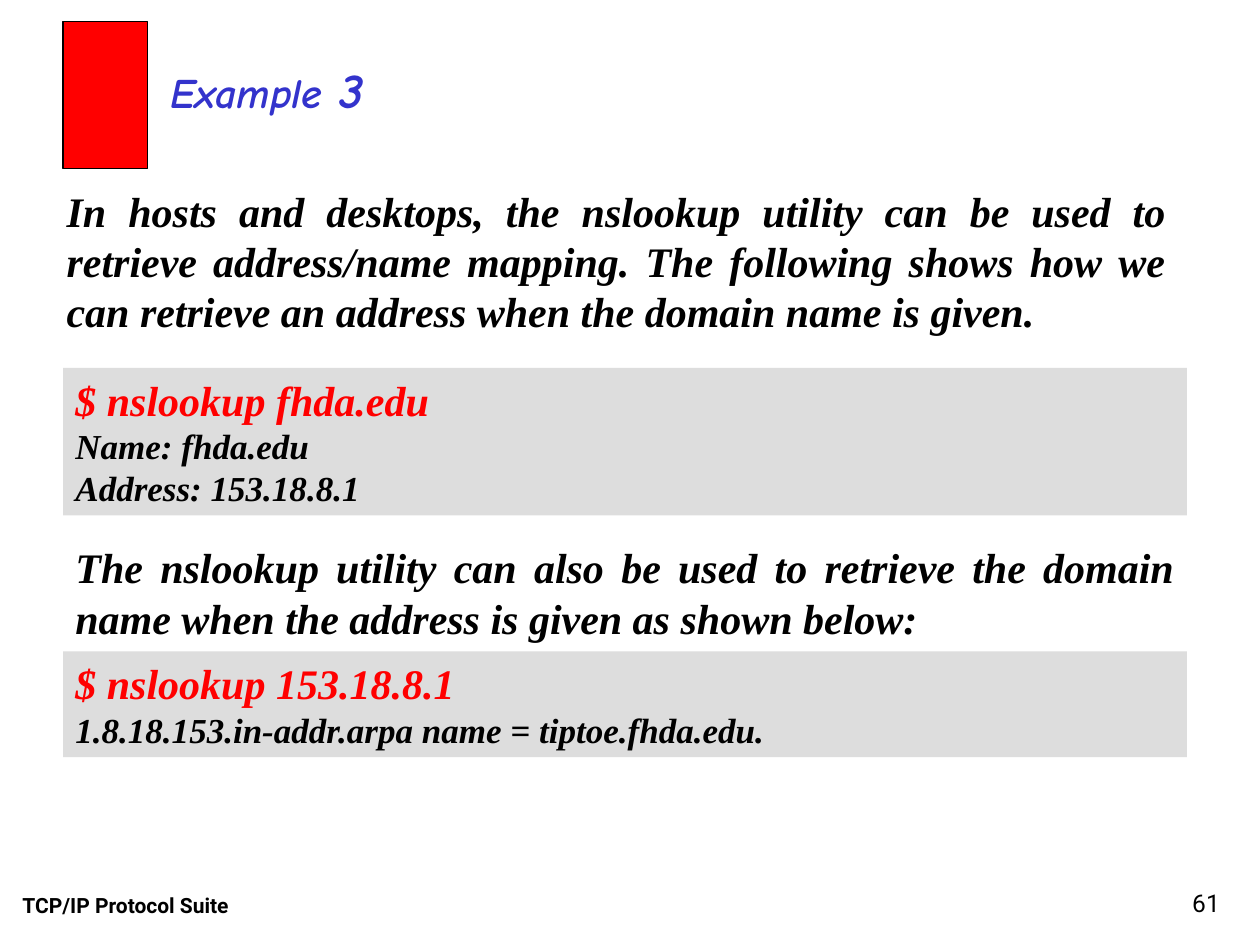
from dataclasses import dataclass

from pptx import Presentation
from pptx.dml.color import RGBColor
from pptx.enum.shapes import MSO_SHAPE
from pptx.enum.text import MSO_ANCHOR, MSO_AUTO_SIZE, PP_ALIGN
from pptx.util import Inches, Pt


@dataclass(frozen=True)
class Theme:
    serif: str = "Times New Roman"
    sans: str = "Roboto"
    comic: str = "Comic Neue"
    black: str = "000000"
    red: str = "FF0000"
    blue: str = "3333CC"
    grey: str = "DDDDDD"
    number: int = 28
    body: int = 24
    output: int = 20
    page: int = 14
    footer: int = 12


T = Theme()
LEFT, WIDTH = 0.5, 8.92
FOOT_TOP, FOOT_HEIGHT = 6.83, 0.5

TITLE = [("Example", T.body), (" 3", T.number)]
# text, left, top, height
PARAGRAPHS = [
    ("In hosts and desktops, the nslookup utility can be used to retrieve "
     "address/name mapping. The following shows how we can retrieve an "
     "address when the domain name is given.", 0.43, 1.42, 1.3),
    ("The nslookup utility can also be used to retrieve the domain name "
     "when the address is given as shown below:", LEFT, 4.25, 0.9),
]
# command, output lines, top, height
SESSIONS = [
    ("$ nslookup fhda.edu", ["Name: fhda.edu", "Address: 153.18.8.1"], 2.92, 1.17),
    ("$ nslookup 153.18.8.1", ["1.8.18.153.in-addr.arpa name = tiptoe.fhda.edu."], 5.17, 0.84),
]
# text, left, width, size, bold, alignment
FOOTERS = [
    ("TCP/IP Protocol Suite", 0.08, 3.17, T.footer, True, PP_ALIGN.LEFT),
    ("61", 7.7, 2.08, T.page, False, PP_ALIGN.RIGHT),
]


def inches(*lengths):
    return [Inches(v) for v in lengths]


def first_paragraph(sp, align=PP_ALIGN.LEFT, anchor=MSO_ANCHOR.TOP):
    tf = sp.text_frame
    tf.word_wrap = True
    tf.auto_size = MSO_AUTO_SIZE.NONE
    tf.vertical_anchor = anchor
    p = tf.paragraphs[0]
    p.alignment = align
    return p


def add_run(p, text, size, color=T.black, font=T.serif, bold=True, italic=True):
    r = p.add_run()
    r.text = text
    r.font.name, r.font.size = font, Pt(size)
    r.font.bold, r.font.italic = bold, italic
    r.font.color.rgb = RGBColor.from_string(color)


def add_box(s, fill, *box):
    sp = s.shapes.add_shape(MSO_SHAPE.RECTANGLE, *inches(*box))
    sp.shadow.inherit = False
    sp.fill.solid()
    sp.fill.fore_color.rgb = RGBColor.from_string(fill)
    sp.line.fill.background()
    return sp


def main():
    prs = Presentation()
    prs.slide_width, prs.slide_height = inches(10, 7.5)
    s = prs.slides.add_slide(prs.slide_layouts[5])

    title = s.shapes.title
    title.left, title.top, title.width, title.height = inches(1.25, 0.42, 2.42, 0.57)
    p = first_paragraph(title)
    for text, size in TITLE:
        add_run(p, text, size, T.blue, T.comic)

    marker = add_box(s, T.red, LEFT, 0.17, 0.67, 1.17)
    marker.line.color.rgb = RGBColor.from_string(T.black)
    marker.line.width = Pt(0.75)

    for text, left, top, height in PARAGRAPHS:
        sp = s.shapes.add_textbox(*inches(left, top, WIDTH, height))
        add_run(first_paragraph(sp, PP_ALIGN.JUSTIFY), text, T.body)

    for command, output, top, height in SESSIONS:
        p = first_paragraph(add_box(s, T.grey, LEFT, top, WIDTH, height))
        add_run(p, command, T.body, T.red)
        for line in output:
            p.add_line_break()
            add_run(p, line, T.output)

    for text, left, width, size, bold, align in FOOTERS:
        sp = s.shapes.add_textbox(*inches(left, FOOT_TOP, width, FOOT_HEIGHT))
        p = first_paragraph(sp, align, MSO_ANCHOR.BOTTOM)
        add_run(p, text, size, font=T.sans, bold=bold, italic=False)

    prs.save("out.pptx")


if __name__ == "__main__":
    main()
